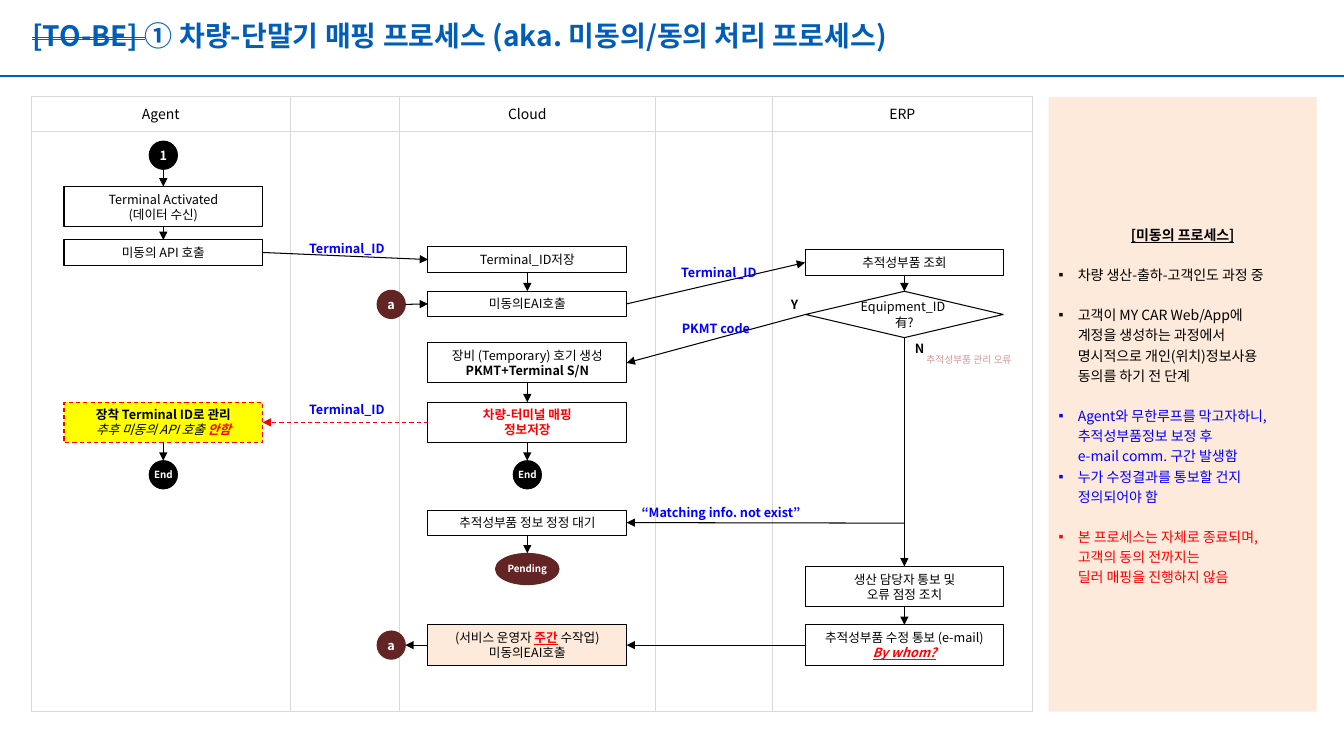
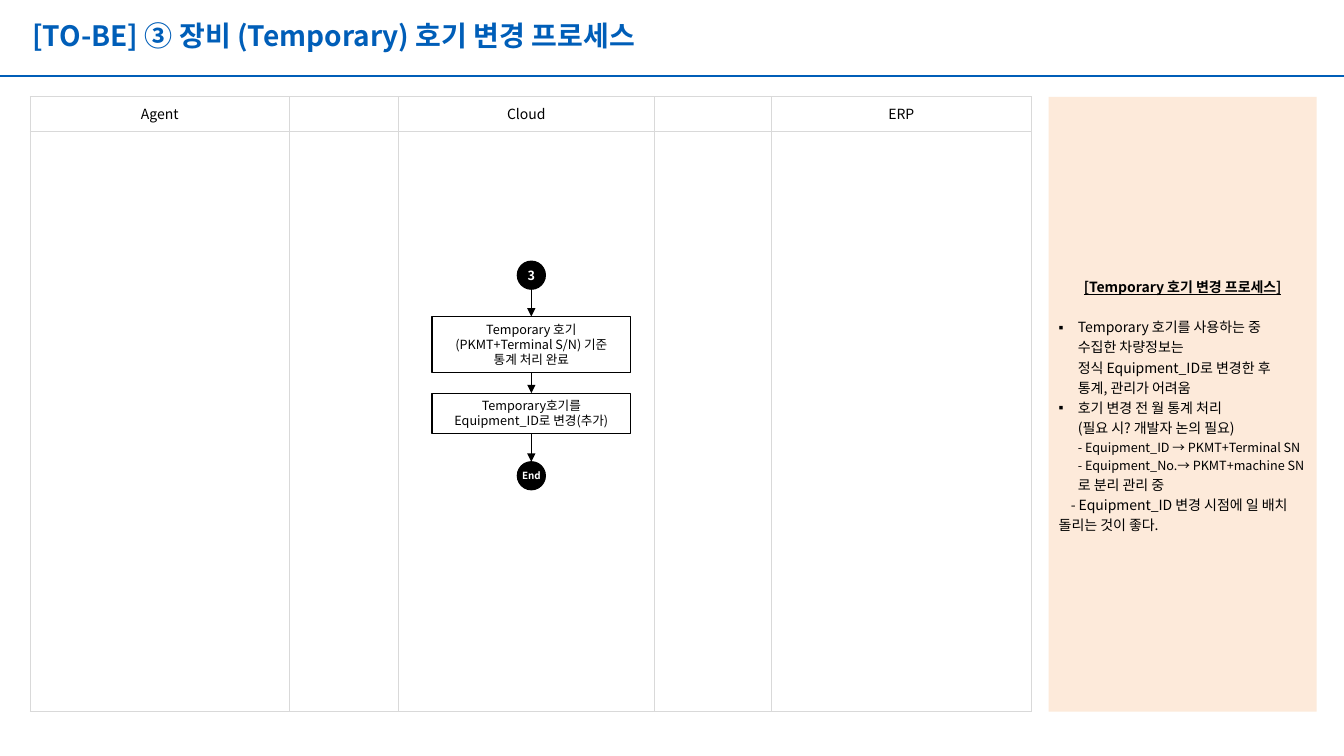
from lxml import etree
from pptx import Presentation
from pptx.dml.color import RGBColor
from pptx.enum.dml import MSO_LINE
from pptx.enum.shapes import MSO_CONNECTOR, MSO_SHAPE
from pptx.enum.text import MSO_ANCHOR, MSO_AUTO_SIZE, PP_ALIGN
from pptx.oxml.ns import qn
from pptx.util import Inches, Pt

RECT, OVAL, DECISION = MSO_SHAPE.RECTANGLE, MSO_SHAPE.OVAL, MSO_SHAPE.FLOWCHART_DECISION
STRAIGHT, DASH = MSO_CONNECTOR.STRAIGHT, MSO_LINE.DASH
LEFT, CENTER = PP_ALIGN.LEFT, PP_ALIGN.CENTER
MIDDLE, NO_FIT = MSO_ANCHOR.MIDDLE, MSO_AUTO_SIZE.NONE

FONT = "Noto Sans CJK KR"
NAVY, BLACK, WHITE, GRID = "005EB8", "000000", "FFFFFF", "D9D9D9"
BLUE, RED, YELLOW = "0000FF", "FF0000", "FFFF00"
PEACH, MAROON, PINK = "FDEADA", "632523", "D99694"

SLIDE_W, SLIDE_H = 13.33, 7.5
TOP, BODY_H = 0.96, 6.1
LANES = [("Agent", 2.57), ("", 1.08), ("Cloud", 2.54), ("", 1.16), ("ERP", 2.58)]
LANE_ROWS = [0.34, 5.76]
AGENT, CLOUD, ERP = 1.62, 5.23, 8.97  # centre lines of the flow
BOX_W, DOT = 1.97, 0.28
BOX_H = {1: 0.25, 2: 0.4, 3: 0.56}  # by number of text lines
BLANK = 14.4  # one empty line of the side panel, in points

# A run is a string or (text, flags, colour); flags are b, i, u, s.
# Box: centre x, top, text lines, paragraphs, look
# Dot: centre x, top, text, fill
# Arrow: from, side, to, side; a label: centre x, centre y, text, colour, size
SLIDES = [
    {
        "title": [("[TO-BE] ", "bs", NAVY),
                  ("① 차량-단말기 매핑 프로세스 (aka. 미동의/동의 처리 프로세스)", "b", NAVY)],
        "lanes_left": 0.31,
        "boxes": {
            "activated": (AGENT, 1.85, 2, [["Terminal Activated\n(데이터 수신)"]], {}),
            "call api": (AGENT, 2.38, 1, [["미동의 API 호출"]], {}),
            "managed": (AGENT, 3.99, 2, [
                [("장착 Terminal ID로 관리", "b", BLACK)],
                [("추후 미동의 API 호출 ", "i", BLACK), ("안함", "bi", RED)],
            ], {"fill": YELLOW, "line": RED, "dash": DASH}),
            "save id": (CLOUD, 2.45, 1, [["Terminal_ID저장"]], {}),
            "call eai": (CLOUD, 2.89, 1, [["미동의EAI호출"]], {}),
            "temporary": (CLOUD, 3.4, 2, [
                ["장비 (Temporary) 호기 생성"], [("PKMT+Terminal S/N", "b", BLACK)]], {}),
            "mapping": (CLOUD, 3.99, 2, [
                [("차량-터미널 매핑", "b", RED)], [("정보저장", "b", RED)]], {}),
            "waiting": (CLOUD, 5.06, 1, [["추적성부품 정보 정정 대기"]], {}),
            "manual": (CLOUD, 6.2, 2, [
                ["(서비스 운영자 ", ("주간", "bu", RED), " 수작업)"], ["미동의EAI호출"],
            ], {"fill": PEACH}),
            "lookup": (ERP, 2.48, 1, [["추적성부품 조회"]], {}),
            "notify": (ERP, 5.62, 2, [["생산 담당자 통보 및\n오류 점정 조치"]], {}),
            "corrected": (ERP, 6.2, 2, [
                ["추적성부품 수정 통보 (e-mail)"], [("By whom?", "biu", RED)]], {}),
        },
        "decisions": {"exists": (ERP, 2.89, 1.96, 0.46, "Equipment_ID \n有?")},
        "dots": {
            "start": (AGENT, 1.4, "1", BLACK),
            "agent end": (AGENT, 4.57, "End", BLACK),
            "cloud end": (CLOUD, 4.57, "End", BLACK),
            "pending": (CLOUD, 5.49, "Pending", MAROON),
            "a in": (3.88, 2.88, "a", MAROON),
            "a out": (3.88, 6.26, "a", MAROON),
        },
        "arrows": [
            ("start", "bottom", "activated", "top"),
            ("activated", "bottom", "call api", "top"),
            ("call api", "right", "save id", "left"),
            ("save id", "bottom", "call eai", "top"),
            ("a in", "right", "call eai", "left"),
            ("call eai", "right", "lookup", "left"),
            ("lookup", "bottom", "exists", "top"),
            ("exists", "left", "temporary", "right"),
            ("exists", "bottom", "notify", "top"),
            ("temporary", "bottom", "mapping", "top"),
            ("mapping", "left", "managed", "right", RED, DASH),
            ("managed", "bottom", "agent end", "top"),
            ("mapping", "bottom", "cloud end", "top"),
            ((ERP, 5.19), "", "waiting", "right"),
            ("waiting", "bottom", "pending", "top"),
            ("notify", "bottom", "corrected", "top"),
            ("corrected", "left", "manual", "right"),
            ("manual", "left", "a out", "right"),
        ],
        "labels": [
            (3.44, 2.47, "Terminal_ID", BLUE, 9),
            (7.13, 2.7, "Terminal_ID", BLUE, 9),
            (3.44, 4.06, "Terminal_ID", BLUE, 9),
            (7.1, 3.26, "PKMT code", BLUE, 9),
            (7.15, 5.08, "“Matching info. not exist”", BLUE, 9),
            (7.88, 3.02, "Y", BLACK, 9),
            (9.12, 3.46, "N", BLACK, 9),
            (9.61, 3.57, "추적성부품 관리 오류", PINK, 7),
        ],
        "heading": "[미동의 프로세스]",
        # Panel item: blank lines before, runs
        "panel": [
            (1, ["차량 생산-출하-고객인도 과정 중"]),
            (1, ["고객이 MY CAR Web/App에\n계정을 생성하는 과정에서\n"
                 "명시적으로 개인(위치)정보사용\n동의를 하기 전 단계"]),
            (1, [("Agent와 무한루프를 막고자하니,\n추적성부품정보 보정 후\n"
                  "e-mail comm. 구간 발생함", "", BLUE)]),
            (0, [("누가 수정결과를 통보할 건지\n정의되어야 함", "", BLUE)]),
            (1, [("본 프로세스는 자체로 종료되며,\n고객의 동의 전까지는\n"
                  "딜러 매핑을 진행하지 않음", "", RED)]),
        ],
    },
    {
        "title": [("[TO-BE] ③ 장비 (Temporary) 호기 변경 프로세스", "b", NAVY)],
        "lanes_left": 0.3,
        "boxes": {
            "statistics": (5.27, 3.14, 3, [
                ["Temporary 호기 (PKMT+Terminal S/N) 기준\n통계 처리 완료"]], {}),
            "change id": (5.27, 3.9, 2, [["Temporary호기를 Equipment_ID로 변경(추가)"]], {}),
        },
        "decisions": {},
        "dots": {"start": (5.27, 2.59, "3", BLACK), "end": (5.27, 4.58, "End", BLACK)},
        "arrows": [
            ("start", "bottom", "statistics", "top"),
            ("statistics", "bottom", "change id", "top"),
            ("change id", "bottom", "end", "top"),
        ],
        "labels": [],
        "heading": "[Temporary 호기 변경 프로세스]",
        "panel": [
            (1, ["Temporary 호기를 사용하는 중\n수집한 차량정보는\n"
                 "정식 Equipment_ID로 변경한 후\n통계, 관리가 어려움"]),
            (0, ["호기 변경 전 월 통계 처리\n(필요 시? 개발자 논의 필요)\n",
                 ("- Equipment_ID → PKMT+Terminal SN\n"
                  "- Equipment_No.→ PKMT+machine SN\n", "", BLACK, 9),
                 "로 분리 관리 중"]),
        ],
        "closing": "- Equipment_ID 변경 시점에 일 배치 돌리는 것이 좋다.",
    },
]


def rgb(value):
    return RGBColor.from_string(value)


def inches(*values):
    return [Inches(v) for v in values]


def add_runs(p, runs, size, color=BLACK):
    for item in runs:
        text, flags, tint, pts = item if isinstance(item, tuple) and len(item) == 4 else (
            (*item, size) if isinstance(item, tuple) else (item, "", color, size))
        for i, line in enumerate(text.split("\n")):
            if i:
                p.add_line_break()
            if not line:
                continue
            r = p.add_run()
            r.text = line
            font = r.font
            font.size, font.name, font.color.rgb = Pt(pts), FONT, rgb(tint)
            font.bold, font.italic, font.underline = ("b" in flags, "i" in flags, "u" in flags)
            rPr = r._r.get_or_add_rPr()
            if "s" in flags:
                rPr.set("strike", "dblStrike")
            etree.SubElement(rPr, qn("a:ea")).set("typeface", FONT)


def setup_frame(tf, margins=None):
    tf.word_wrap, tf.auto_size, tf.vertical_anchor = True, NO_FIT, MIDDLE
    if margins:
        tf.margin_left = tf.margin_right = Inches(margins[0])
        tf.margin_top = tf.margin_bottom = Inches(margins[1])


def write_centered(tf, paragraphs, size, color=BLACK):
    for i, runs in enumerate(paragraphs):
        p = tf.add_paragraph() if i else tf.paragraphs[0]
        p.alignment = CENTER
        add_runs(p, runs, size, color)


def add_node(slide, kind, cx, top, w, h, paragraphs, size=9, fill=None, line=BLACK,
             dash=None, margins=None):
    sp = slide.shapes.add_shape(kind, *inches(cx - w / 2, top, w, h))
    sp.shadow.inherit = False
    if fill:
        sp.fill.solid()
        sp.fill.fore_color.rgb = rgb(fill)
    else:
        sp.fill.background()
    sp.line.color.rgb, sp.line.width = rgb(line), Pt(0.75)
    if dash:
        sp.line.dash_style = dash
    setup_frame(sp.text_frame, margins)
    write_centered(sp.text_frame, paragraphs, size)
    return sp


def side_point(sp, side):
    x, y = sp.left + sp.width // 2, sp.top + sp.height // 2
    return {"top": (x, sp.top), "bottom": (x, sp.top + sp.height),
            "left": (sp.left, y), "right": (sp.left + sp.width, y)}[side]


def add_line(slide, start, end, color, width, dash=None, arrow=False):
    c = slide.shapes.add_connector(STRAIGHT, *start, *end)
    c.line.color.rgb, c.line.width = rgb(color), Pt(width)
    if dash:
        c.line.dash_style = dash
    if arrow:
        etree.SubElement(c.line._get_or_add_ln(), qn("a:tailEnd")).set("type", "triangle")
    etree.SubElement(c._element.spPr, qn("a:effectLst"))
    return c


def border_cell(cell):
    tcPr = cell._tc.get_or_add_tcPr()
    for i, edge in enumerate(("lnL", "lnR", "lnT", "lnB")):
        ln = etree.Element(qn("a:" + edge), w=str(Pt(0.75)))
        fill = etree.SubElement(ln, qn("a:solidFill"))
        etree.SubElement(fill, qn("a:srgbClr")).set("val", GRID)
        tcPr.insert(i, ln)


def add_lanes(slide, left):
    width = sum(w for _, w in LANES)
    table = slide.shapes.add_table(2, len(LANES), *inches(left, TOP, width, BODY_H)).table
    table.first_row = table.horz_banding = False
    for row, h in zip(table.rows, LANE_ROWS):
        row.height = Inches(h)
    for i, (name, w) in enumerate(LANES):
        table.columns[i].width = Inches(w)
        for j, text in enumerate((name, "")):
            cell = table.cell(j, i)
            cell.fill.background()
            border_cell(cell)
            cell.vertical_anchor = MIDDLE
            p = cell.text_frame.paragraphs[0]
            p.alignment = CENTER
            if text:
                add_runs(p, [text], 10)
            else:
                p._p.get_or_add_endParaRPr().set("sz", "1000")


def indent(p, left, first, bullet=None):
    pPr = p._p.get_or_add_pPr()
    pPr.set("marL", str(Inches(left)))
    pPr.set("indent", str(Inches(first)))
    if bullet:
        etree.SubElement(pPr, qn("a:buChar")).set("char", bullet)
    else:
        etree.SubElement(pPr, qn("a:buNone"))


def fill_panel(body, heading, items, closing=None):
    body.fill.solid()
    body.fill.fore_color.rgb = rgb(PEACH)
    tf = body.text_frame
    setup_frame(tf)
    rows = [(0, [(heading, "bu", BLACK)], CENTER, (0, 0))]
    rows += [(gap, runs, LEFT, (0.19, -0.19, "▪")) for gap, runs in items]
    if closing:
        rows.append((0, [closing], LEFT, (0, 0.12)))
    for i, (gap, runs, align, indents) in enumerate(rows):
        p = tf.add_paragraph() if i else tf.paragraphs[0]
        indent(p, *indents)
        p.alignment, p.line_spacing, p.space_before = align, 1.2, Pt(gap * BLANK)
        add_runs(p, runs, 10)


def add_flow(slide, data):
    nodes = {}
    for name, (cx, top, lines, paragraphs, look) in data["boxes"].items():
        nodes[name] = add_node(slide, RECT, cx, top, BOX_W, BOX_H[lines], paragraphs, **look)
    for name, (cx, top, w, h, text) in data["decisions"].items():
        nodes[name] = add_node(slide, DECISION, cx, top, w, h, [[text]], margins=(0, 0))
    for name, (cx, top, text, fill) in data["dots"].items():
        w, h = (0.63, 0.31) if text == "Pending" else (DOT, DOT)
        nodes[name] = add_node(slide, OVAL, cx, top, w, h, [[(text, "b", WHITE)]],
                               9 if len(text) == 1 else 7, fill, fill, margins=(0, 0.05))
    for start, side, end, end_side, *look in data["arrows"]:
        begin = side_point(nodes[start], side) if side else inches(*start)
        color, dash = look or (BLACK, None)
        add_line(slide, begin, side_point(nodes[end], end_side), color, 0.75, dash, True)
    for cx, cy, text, color, size in data["labels"]:
        w, h = (0.27 if len(text) == 1 else 1.7), 0.2
        tf = slide.shapes.add_textbox(*inches(cx - w / 2, cy - h / 2, w, h)).text_frame
        setup_frame(tf, (0, 0))
        write_centered(tf, [[(text, "b" if size == 9 else "", color)]], size)


def place(sp, *box):
    sp.left, sp.top, sp.width, sp.height = inches(*box)


def main():
    prs = Presentation()
    prs.slide_width, prs.slide_height = inches(SLIDE_W, SLIDE_H)
    layout = prs.slide_layouts[1]
    place(layout.placeholders[0], 0.24, 0.12, 12.76, 0.5)
    place(layout.placeholders[1], 10.4, TOP, 2.66, BODY_H)
    for i, data in enumerate(SLIDES):
        slide = prs.slides.add_slide(layout)
        if i == 0:  # the rule under the title belongs to the layout
            rule = add_line(slide, inches(0, 0.75), inches(SLIDE_W, 0.75), NAVY, 1.5)
            layout.shapes._spTree.append(rule._element)
        tf = slide.shapes.title.text_frame
        setup_frame(tf, (0.08, 0.04))
        p = tf.paragraphs[0]
        p.alignment, p.line_spacing = LEFT, 0.9
        add_runs(p, data["title"], 20)
        add_lanes(slide, data["lanes_left"])
        fill_panel(slide.placeholders[1], data["heading"], data["panel"], data.get("closing"))
        add_flow(slide, data)
    prs.save("out.pptx")


if __name__ == "__main__":
    main()
